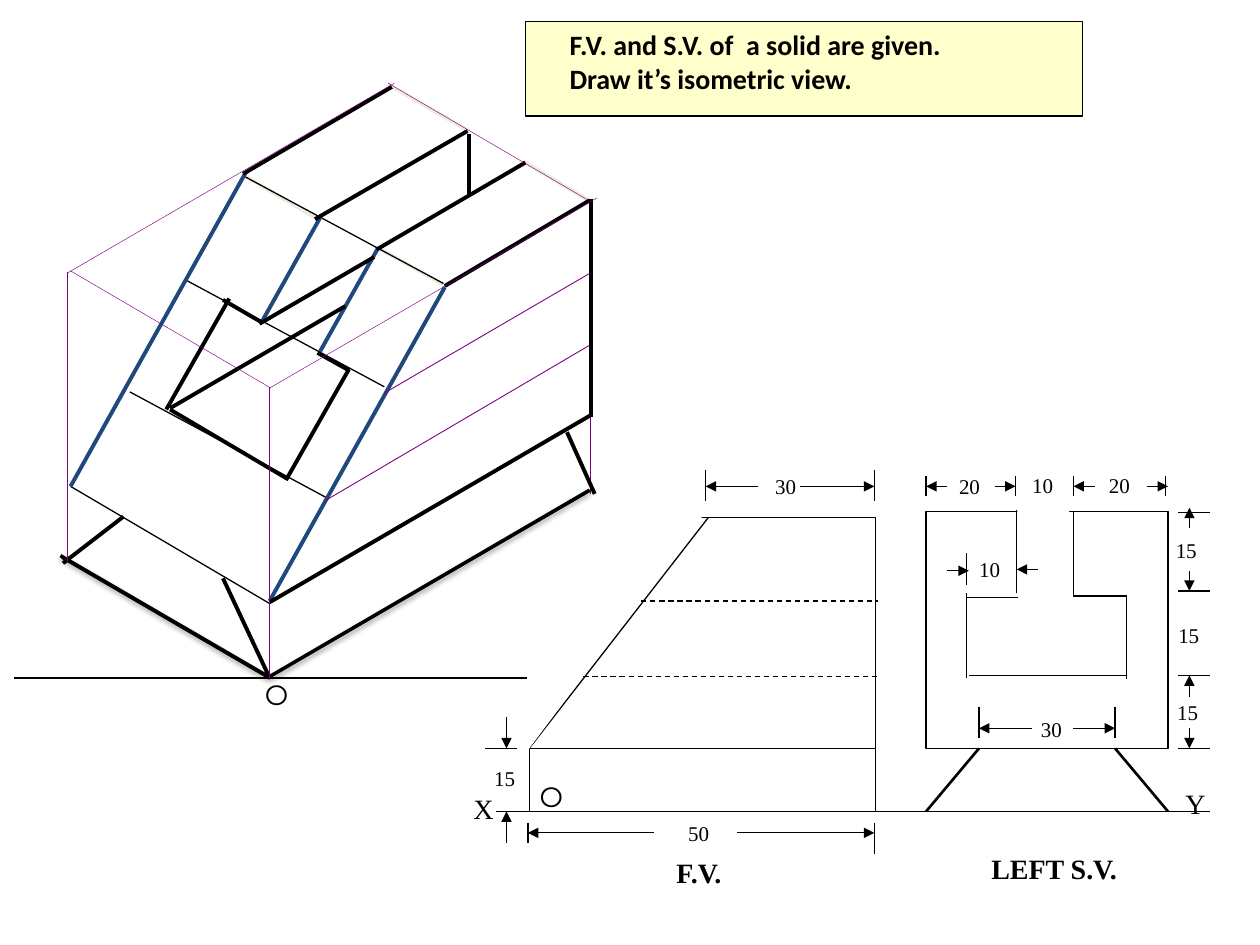
from lxml.etree import SubElement
from pptx import Presentation
from pptx.dml.color import RGBColor
from pptx.enum.dml import MSO_LINE
from pptx.enum.shapes import MSO_CONNECTOR, MSO_SHAPE
from pptx.enum.text import MSO_ANCHOR, MSO_AUTO_SIZE, PP_ALIGN
from pptx.oxml.ns import qn
from pptx.util import Pt

SCALE = 9144
INK, BLUE, PLUM, PALE = "000000", "1F497D", "800080", "EEECE1"
SERIF = "Times New Roman"


def px(n):
    return int(n * SCALE)


def color(code):
    return RGBColor.from_string(code)


def write(frame, text, size=16, font=SERIF, bold=False, align=PP_ALIGN.LEFT):
    frame.text = text
    for para in frame.paragraphs:
        para.alignment = align
        para.space_before = Pt(0)
        for run in para.runs:
            run.font.size = Pt(size)
            run.font.name = font
            run.font.bold = bold
            run.font.color.rgb = color(INK)


def label(slide, box, x, y, w, h, text, **form):
    left, top = box[:2]
    part = slide.shapes.add_textbox(px(left + x), px(top + y), px(w), px(h))
    part.text_frame.word_wrap = False
    write(part.text_frame, text, **form)


def values(slide, box, items):
    for text, x, y in items:
        label(slide, box, x, y, 37, 30, text, size=12, align=PP_ALIGN.CENTER)


def origin(slide, box, x, y):
    label(slide, box, x, y, 39, 37, "O", font="Montserrat", align=PP_ALIGN.CENTER)


def block(slide, box, x, y, w, h, kind=MSO_SHAPE.RECTANGLE, edge=None, turn=0):
    left, top = box[:2]
    part = slide.shapes.add_shape(kind, px(left + x), px(top + y), px(w), px(h))
    part.shadow.inherit = False
    part.rotation = turn
    part.fill.solid()
    part.fill.fore_color.rgb = color("FFFFFF")
    if edge:
        part.line.color.rgb = color(edge)
        part.line.width = Pt(0.75)
    else:
        part.line.fill.background()


def strokes(slide, box, lines, tint=INK, width=0.75, dash=False, arrow=False, shade=False):
    left, top = box[:2]
    for x1, y1, x2, y2 in lines:
        part = slide.shapes.add_connector(
            MSO_CONNECTOR.STRAIGHT,
            px(left + x1), px(top + y1), px(left + x2), px(top + y2))
        part.line.color.rgb = color(tint)
        part.line.width = Pt(width)
        if dash:
            part.line.dash_style = MSO_LINE.DASH
        if arrow:
            SubElement(part.line._get_or_add_ln(), qn("a:tailEnd"), type="triangle")
        effect = SubElement(part._element.spPr, qn("a:effectLst"))
        if shade:
            cast = SubElement(effect, qn("a:outerShdw"), blurRad=str(Pt(3.1)),
                              dist=str(Pt(1.6)), dir="5400000", rotWithShape="0")
            tone = SubElement(cast, qn("a:srgbClr"), val=INK)
            SubElement(tone, qn("a:alpha"), val="38000")


def heading(slide, box):
    title = slide.shapes.title
    title.left, title.top, title.width, title.height = map(px, box)
    title.fill.solid()
    title.fill.fore_color.rgb = color("FFFFCC")
    title.line.color.rgb = color(INK)
    title.line.width = Pt(0.75)
    frame = title.text_frame
    frame.auto_size = MSO_AUTO_SIZE.NONE
    frame.vertical_anchor = MSO_ANCHOR.TOP
    frame.margin_left, frame.margin_top = px(35), px(5)
    write(frame, "F.V. and S.V. of  a solid are given.\nDraw it’s isometric view.",
          font="Calibri", bold=True)


def ground(slide, box):
    strokes(slide, box, [(28, 25, 594, 25)])
    label(slide, box, 565, 0, 36, 37, "Y")
    label(slide, box, 0, 4, 36, 37, "X")


def front(slide, box):
    block(slide, box, 60, 51, 275, 233, edge=INK)
    strokes(slide, box, [(202, 51, 60, 234), (60, 234, 335, 234)])
    strokes(slide, box, [(149, 117, 337, 117), (103, 177, 337, 177)], dash=True)
    block(slide, box, -34, 49, 245, 110, turn=306.7)
    strokes(slide, box, [
        (59, 293, 59, 309), (334, 293, 334, 318), (200, 13, 200, 38),
        (334, 13, 334, 38), (50, 234, 25, 234)])
    strokes(slide, box, [
        (225, 301, 334, 301), (159, 301, 59, 301), (275, 26, 334, 26),
        (242, 26, 200, 26), (42, 309, 42, 284), (42, 209, 42, 234)], arrow=True)
    values(slide, box, [("30", 245, 11), ("50", 176, 286), ("15", 22, 243)])
    origin(slide, box, 58, 254)
    label(slide, box, 167, 314, 61, 37, "F.V.", bold=True)


def side(slide, box):
    block(slide, box, 15, 46, 192, 188, edge=INK)
    strokes(slide, box, [
        (87, 45, 87, 111), (132, 46, 132, 112), (132, 113, 174, 113),
        (47, 114, 88, 114), (47, 111, 47, 178), (174, 112, 174, 179),
        (49, 176, 174, 176)])
    block(slide, box, 87, 16, 42, 50, kind=MSO_SHAPE.OVAL)
    strokes(slide, box, [(15, 284, 57, 234), (207, 284, 165, 234)], width=1.5)
    ticks = [(x, 18, x, 34) for x in (15, 86, 132, 205)]
    ticks += [(215, y, 240, y) for y in (47, 109, 176, 234)]
    ticks += [(x, 201, x, 226) for x in (57, 165)]
    strokes(slide, box, ticks + [(47, 79, 47, 104)])
    strokes(slide, box, [
        (70, 26, 86, 26), (32, 26, 15, 26), (190, 26, 207, 26), (149, 26, 132, 26),
        (224, 93, 224, 109), (224, 59, 224, 43), (224, 193, 224, 176),
        (224, 218, 224, 234), (132, 218, 165, 218), (99, 218, 57, 218),
        (32, 93, 49, 93), (104, 92, 87, 92)], arrow=True)
    values(slide, box, [
        ("20", 31, 11), ("20", 150, 10), ("10", 89, 10), ("15", 203, 62),
        ("15", 205, 129), ("15", 204, 190), ("30", 96, 204), ("10", 47, 77)])
    label(slide, box, 57, 311, 123, 37, "LEFT S.V.", bold=True)


def solid(slide, box):
    strokes(slide, box, [
        (244, 115, 183, 79), (362, 44, 298, 7), (457, 99, 407, 69),
        (342, 166, 289, 136)], tint=PALE, width=2.25)
    strokes(slide, box, [
        (184, 80, 342, 165), (203, 478, 458, 330), (204, 479, 39, 383),
        (1, 478, 408, 478), (204, 419, 46, 326), (295, 247, 137, 162),
        (251, 336, 93, 251)])
    strokes(slide, box, [
        (343, 168, 204, 417), (185, 77, 46, 326), (290, 137, 244, 219),
        (244, 113, 198, 195)], tint=BLUE, width=2.25)
    strokes(slide, box, [
        (459, 332, 459, 98), (295, 252, 458, 157), (247, 338, 458, 214)],
        tint=PLUM, width=0.5)
    strokes(slide, box, [
        (289, 138, 407, 69), (240, 114, 361, 44), (362, 46, 362, 95),
        (183, 78, 301, 9), (343, 167, 458, 99), (204, 418, 458, 270),
        (218, 320, 125, 265), (198, 196, 167, 178), (172, 177, 122, 265),
        (267, 233, 217, 321), (125, 264, 264, 183), (196, 197, 287, 144),
        (267, 234, 242, 220), (88, 350, 40, 387), (459, 271, 459, 98),
        (204, 478, 167, 399), (462, 332, 440, 283)], width=2.25)
    strokes(slide, box, [(203, 477, 38, 381), (204, 477, 458, 329)],
            width=2, shade=True)
    strokes(slide, box, [
        (204, 478, 204, 247), (43, 387, 43, 156), (204, 248, 464, 97),
        (205, 248, 46, 155), (43, 157, 303, 6), (457, 99, 298, 6)],
        tint=PLUM, width=0.25)
    origin(slide, box, 190, 473)


def main():
    deck = Presentation()
    deck.slide_width, deck.slide_height = px(1000), px(750)
    slide = deck.slides.add_slide(deck.slide_layouts[5])
    heading(slide, (417, 17, 442, 75))
    ground(slide, (366, 619, 601, 41))
    front(slide, (360, 360, 340, 351))
    side(slide, (720, 360, 240, 348))
    solid(slide, (10, 60, 464, 510))
    deck.save("out.pptx")


if __name__ == "__main__":
    main()
